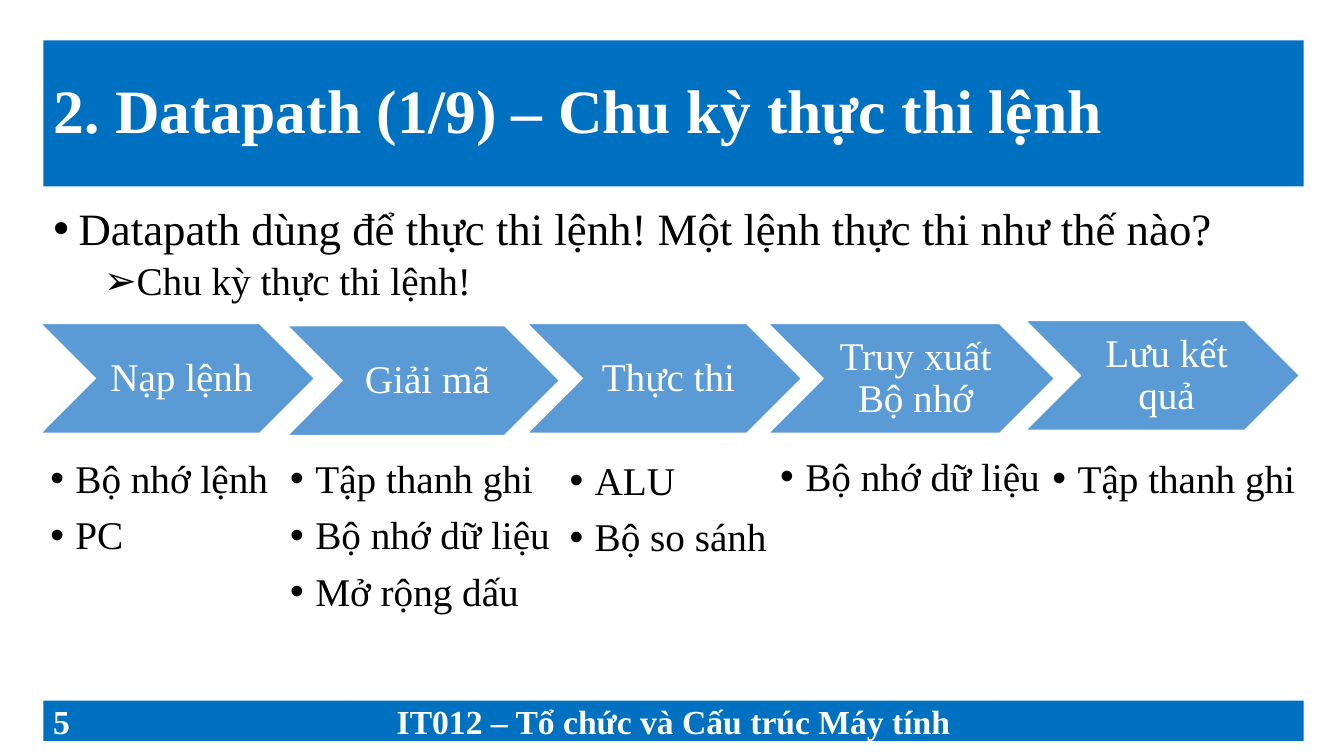
import pptx
import pptx.util
import pptx.dml.color
import pptx.enum.shapes
import pptx.enum.text
import pptx.oxml.ns
import lxml.etree

PX = 9144
WHITE, BLACK, BAR, ARROW = "FFFFFF", "000000", "0070C0", "5B9BD5"
FACE = "Times New Roman"
ALIGN = pptx.enum.text.PP_ALIGN
ANCHOR = pptx.enum.text.MSO_ANCHOR
SHAPE = pptx.enum.shapes.MSO_SHAPE

slide_size = (1333, 750)
heading = ("2. Datapath (1/9) – Chu kỳ thực thi lệnh", (43, 40, 1250, 145))
intro_box = (43, 200, 1250, 119)
intro = [
    ("Datapath dùng để thực thi lệnh! Một lệnh thực thi như thế nào?", 0, "•", 32, 0),
    ("Chu kỳ thực thi lệnh!", 1, "➢", 28, 5),
]
stages = [
    ("Nạp lệnh", (40, 321, 272, 109), (40, 451, 252, 119), ["Bộ nhớ lệnh", "PC"]),
    ("Giải mã", (285, 323, 270, 109), (278, 451, 284, 182),
     ["Tập thanh ghi", "Bộ nhớ dữ liệu", "Mở rộng dấu"]),
    ("Thực thi", (523, 321, 272, 109), (555, 453, 272, 152), ["ALU", "Bộ so sánh"]),
    ("Truy xuất Bộ nhớ", (762, 321, 284, 109), (764, 449, 284, 152), ["Bộ nhớ dữ liệu"]),
    ("Lưu kết quả", (1017, 318, 272, 109), (1034, 451, 284, 152), ["Tập thanh ghi"]),
]
footer_left, footer_top, footer_height = 43, 695, 40
footer = [
    ("5", 303, ALIGN.LEFT),
    ("IT012 – Tổ chức và Cấu trúc Máy tính", 644, ALIGN.CENTER),
    ("", 303, ALIGN.LEFT),
]


def rgb(value):
    return pptx.dml.color.RGBColor.from_string(value)


def emu(box):
    return [length * PX for length in box]


def apply(target, values):
    for key, value in values.items():
        setattr(target, key, value)


def place(holder, box):
    apply(holder, dict(zip(("left", "top", "width", "height"), emu(box))))


def paint(part, fill, line=None):
    part.fill.solid()
    part.fill.fore_color.rgb = rgb(fill)
    if line:
        part.line.color.rgb = rgb(line)
        part.line.width = pptx.util.Pt(1)
    else:
        part.line.fill.background()


def set_frame(frame, anchor, insets=(10, 5, 10, 5)):
    left, top, right, bottom = emu(insets)
    apply(frame, dict(auto_size=pptx.enum.text.MSO_AUTO_SIZE.NONE, word_wrap=True,
                      vertical_anchor=anchor, margin_left=left, margin_top=top,
                      margin_right=right, margin_bottom=bottom))


def write(paragraph, text, size, colour, bold=False, align=ALIGN.LEFT, spacing=0.9, before=0):
    apply(paragraph, dict(alignment=align, line_spacing=spacing,
                          space_before=pptx.util.Pt(before), space_after=pptx.util.Pt(0)))
    run = paragraph.add_run()
    run.text = text
    apply(run.font, dict(name=FACE, size=pptx.util.Pt(size), bold=bold))
    run.font.color.rgb = rgb(colour)


def write_list(frame, items):
    set_frame(frame, ANCHOR.TOP)
    for index, (text, level, mark, size, before) in enumerate(items):
        paragraph = frame.add_paragraph() if index else frame.paragraphs[0]
        paragraph.level = level
        properties = paragraph._p.get_or_add_pPr()
        properties.set("marL", str((25 + 50 * level) * PX))
        properties.set("indent", str(-25 * PX))
        for tag, key, value in (("a:buFont", "typeface", "Arial"), ("a:buChar", "char", mark)):
            bullet = lxml.etree.SubElement(properties, pptx.oxml.ns.qn(tag))
            bullet.set(key, value)
        write(paragraph, text, size, BLACK, before=before)


def add_part(slide, kind, box, fill, line=None):
    part = slide.shapes.add_shape(kind, *emu(box))
    part.shadow.inherit = False
    paint(part, fill, line)
    return part


def main():
    deck = pptx.Presentation()
    deck.slide_width, deck.slide_height = emu(slide_size)
    slide = deck.slides.add_slide(deck.slide_layouts[1])

    heading_text, heading_box = heading
    title = slide.shapes.title
    place(title, heading_box)
    paint(title, BAR)
    set_frame(title.text_frame, ANCHOR.MIDDLE)
    write(title.text_frame.paragraphs[0], heading_text, 44, WHITE, bold=True)

    body = slide.placeholders[1]
    place(body, intro_box)
    write_list(body.text_frame, intro)

    for stage, arrow_box, units_box, units in stages:
        arrow = add_part(slide, SHAPE.CHEVRON, arrow_box, ARROW, WHITE)
        set_frame(arrow.text_frame, ANCHOR.MIDDLE, (12, 4, 4, 4))
        write(arrow.text_frame.paragraphs[0], stage, 28, WHITE, align=ALIGN.CENTER)
        unit_list = slide.shapes.add_textbox(*emu(units_box))
        write_list(unit_list.text_frame,
                   [(unit, 0, "•", 28, 10 if index else 0) for index, unit in enumerate(units)])

    left = footer_left
    for label, width, align in footer:
        cell = add_part(slide, SHAPE.RECTANGLE, (left, footer_top, width, footer_height), BAR)
        if label:
            set_frame(cell.text_frame, ANCHOR.MIDDLE)
            write(cell.text_frame.paragraphs[0], label, 24, WHITE, True, align, 1.0)
        left += width

    deck.save("out.pptx")


if __name__ == "__main__":
    main()
